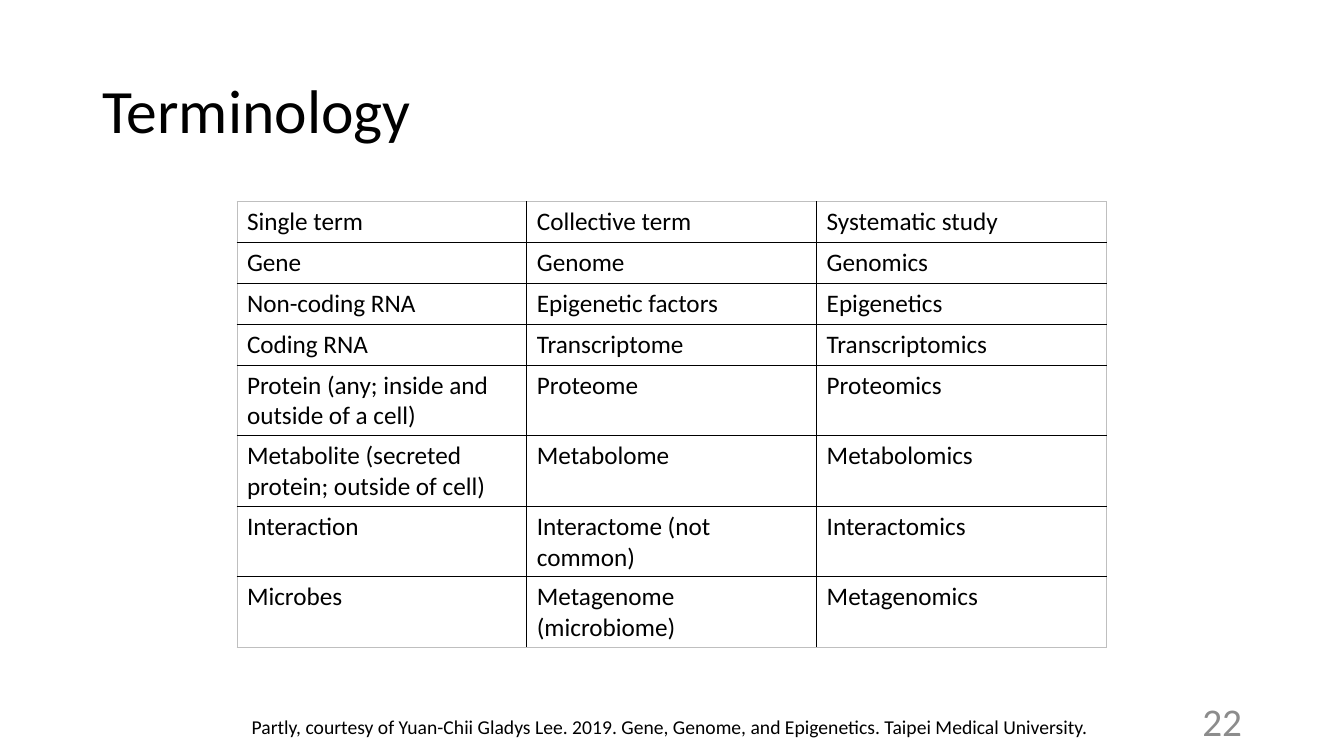
import pptx
import pptx.dml.color
import pptx.enum.text
import pptx.oxml.ns
import pptx.util
from lxml import etree

ALIGN = pptx.enum.text.PP_ALIGN
ANCHOR = pptx.enum.text.MSO_ANCHOR

TERMS = [
    ("Single term", "Collective term", "Systematic study"),
    ("Gene", "Genome", "Genomics"),
    ("Non-coding RNA", "Epigenetic factors", "Epigenetics"),
    ("Coding RNA", "Transcriptome", "Transcriptomics"),
    ("Protein (any; inside and outside of a cell)", "Proteome", "Proteomics"),
    ("Metabolite (secreted protein; outside of cell)", "Metabolome", "Metabolomics"),
    ("Interaction", "Interactome (not common)", "Interactomics"),
    ("Microbes", "Metagenome (microbiome)", "Metagenomics"),
]
CREDIT = ("Partly, courtesy of Yuan-Chii Gladys Lee. 2019. "
          "Gene, Genome, and Epigenetics. Taipei Medical University.")


def color(hex_string):
    """Turn a hex string into a colour."""
    return pptx.dml.color.RGBColor.from_string(hex_string)


def grid(units):
    """Turn grid units, twelve to the inch, into a length."""
    return pptx.util.Inches(units / 12)


class TermSlide:
    """The style of the deck and the slide being filled."""

    font = "Calibri"
    ink, muted, frame, paper = "000000", "8C8C8C", "BFBFBF", "FFFFFF"

    def __init__(self, presentation):
        """Add a blank slide."""
        self.slide = presentation.slides.add_slide(presentation.slide_layouts[6])

    def run(self, paragraph, text, size, ink=ink):
        """Add one styled run to a paragraph."""
        run = paragraph.add_run()
        run.text = text
        run.font.name = self.font
        run.font.size = pptx.util.Pt(size)
        run.font.color.rgb = color(ink)

    def text(self, box, text, size, ink=ink, align=ALIGN.LEFT,
             anchor=ANCHOR.MIDDLE, spacing=1):
        """Add a one-paragraph text box; box is left, top, width, height."""
        frame = self.slide.shapes.add_textbox(*map(grid, box)).text_frame
        frame.word_wrap = True
        frame.vertical_anchor = anchor
        paragraph = frame.paragraphs[0]
        paragraph.alignment = align
        paragraph.line_spacing = spacing
        self.run(paragraph, text, size, ink)

    def border(self, cell, side, ink, width):
        """Draw one side (L, R, T or B) of a cell."""
        qn = pptx.oxml.ns.qn
        properties = cell._tc.get_or_add_tcPr()
        line = etree.SubElement(properties, qn(f"a:ln{side}"),
                                w=str(pptx.util.Pt(width)))
        fill = etree.SubElement(line, qn("a:solidFill"))
        etree.SubElement(fill, qn("a:srgbClr"), val=ink)

    def table(self, left, top, column_width, row_height, rows, size):
        """Add a table with black inner rules and a light outer frame."""
        last_row, last_column = len(rows) - 1, len(rows[0]) - 1
        table = self.slide.shapes.add_table(
            len(rows), len(rows[0]), grid(left), grid(top),
            grid(column_width * len(rows[0])), grid(row_height * len(rows))).table
        table.first_row = table.horz_banding = False
        for r, row in enumerate(rows):
            table.rows[r].height = grid(row_height)
            for c, text in enumerate(row):
                cell = table.cell(r, c)
                outer = {"L": c == 0, "R": c == last_column,
                         "T": r == 0, "B": r == last_row}
                for side, is_outer in outer.items():
                    style = (self.frame, 0.5) if is_outer else (self.ink, 1)
                    self.border(cell, side, *style)
                cell.fill.solid()
                cell.fill.fore_color.rgb = color(self.paper)
                self.run(cell.text_frame.paragraphs[0], text, size)


presentation = pptx.Presentation()
presentation.slide_width = pptx.util.Inches(13.33)
presentation.slide_height = pptx.util.Inches(7.5)

terminology = TermSlide(presentation)
terminology.text((11, 4.8, 138, 17.4), "Terminology", 44, spacing=0.9)
terminology.table(28.2, 24, 34.5, 4.87, TERMS, 18)
terminology.text((21.5, 84.5, 116.5, 4.2), CREDIT, 14,
                 align=ALIGN.CENTER, anchor=ANCHOR.TOP)
terminology.text((113, 83.4, 36, 4.8), "22", 28, TermSlide.muted, ALIGN.RIGHT)

presentation.save("out.pptx")
